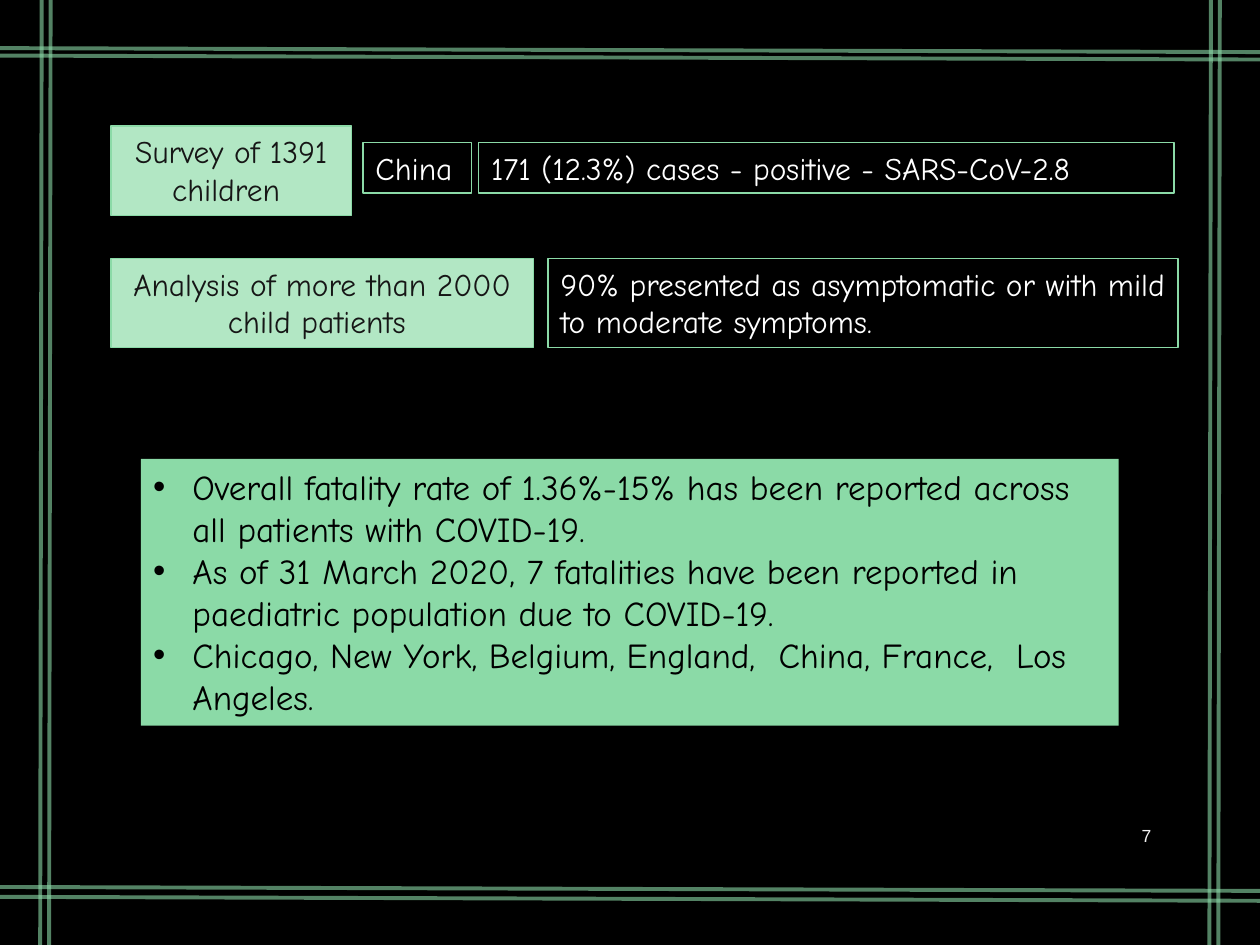
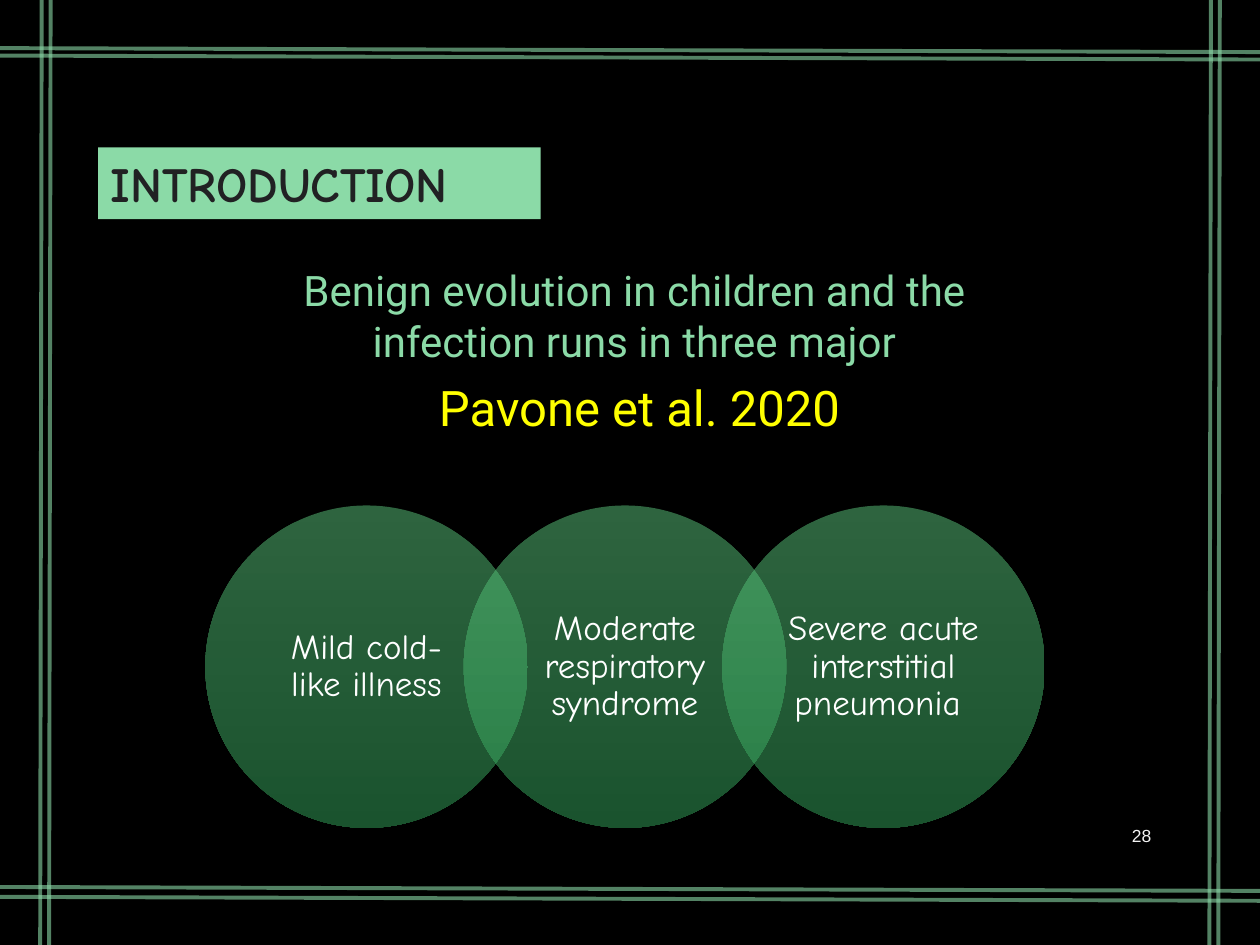
from dataclasses import dataclass, field
from typing import Any, Optional

from lxml.etree import SubElement
from pptx import Presentation
from pptx.dml.color import RGBColor
from pptx.enum.shapes import MSO_CONNECTOR, MSO_SHAPE
from pptx.enum.text import MSO_ANCHOR, PP_ALIGN
from pptx.oxml.ns import qn
from pptx.slide import Slide
from pptx.text.text import TextFrame
from pptx.util import Cm, Pt

BLACK = RGBColor(0x00, 0x00, 0x00)
WHITE = RGBColor(0xFF, 0xFF, 0xFF)
MINT = RGBColor(0x8B, 0xDA, 0xA7)
PALE_MINT = RGBColor(0xB2, 0xE7, 0xC4)
LEAF = RGBColor(0x5C, 0xC8, 0x7E)
DEEP_LEAF = RGBColor(0x35, 0xA7, 0x5D)
INK = RGBColor(0x16, 0x16, 0x16)
TITLE_INK = RGBColor(0x21, 0x21, 0x23)
YELLOW = RGBColor(0xFF, 0xFF, 0x00)
NUMBER_GREY = RGBColor(0xF2, 0xF2, 0xF2)

COMIC, ROBOTO, ARIAL = "Comic Neue", "Roboto", "Arial"

SLIDE_WIDTH, SLIDE_HEIGHT = 25.4, 19.05
VERTICAL_RAILS = (0.84, 1.02, 24.41, 24.59)
HORIZONTAL_RAILS = (0.97, 1.12, 17.88, 18.08)
VERTICAL_DRIFT, HORIZONTAL_DRIFT = -0.03, 0.08
BULLET_INDENT = 0.79


@dataclass(frozen=True)
class TextStyle:
    size: float
    color: RGBColor
    font: str = COMIC
    bold: bool = False
    align: PP_ALIGN = PP_ALIGN.LEFT
    bulleted: bool = False
    line_spacing: Optional[float] = None
    frame: dict[str, Any] = field(
        default_factory=lambda: {"vertical_anchor": MSO_ANCHOR.TOP})


@dataclass(frozen=True)
class Panel:
    """A text block; lengths are in centimetres."""
    left: float
    top: float
    width: float
    height: float
    lines: tuple[str, ...]
    style: TextStyle
    fill: Optional[RGBColor] = None
    outline: Optional[RGBColor] = None


MIDDLE = {"vertical_anchor": MSO_ANCHOR.MIDDLE}
CIRCLE_FRAME = MIDDLE | {
    "margin_left": Cm(0.36), "margin_right": Cm(0.36),
    "margin_top": Cm(0.08), "margin_bottom": Cm(0.08),
}

STUDY = TextStyle(18, INK, align=PP_ALIGN.CENTER)
FINDING = TextStyle(18, WHITE)
FATALITY = TextStyle(20, BLACK, bulleted=True)
TITLE = TextStyle(28, TITLE_INK, bold=True)
STATEMENT = TextStyle(24, MINT, ROBOTO, align=PP_ALIGN.CENTER)
CITATION = TextStyle(28, YELLOW, ROBOTO, align=PP_ALIGN.CENTER)
COURSE = TextStyle(20, WHITE, align=PP_ALIGN.CENTER, line_spacing=0.9,
                   frame=CIRCLE_FRAME)
NUMBER = TextStyle(10, NUMBER_GREY, ARIAL, align=PP_ALIGN.RIGHT, frame=MIDDLE)

SURVEY_PANELS = (
    Panel(2.24, 2.54, 4.85, 1.8, ("Survey of 1391 children ",),
          STUDY, PALE_MINT, MINT),
    Panel(7.32, 2.87, 2.18, 1.02, ("China",), FINDING, outline=MINT),
    Panel(9.65, 2.87, 14.02, 1.02,
          ("171 (12.3%) cases - positive - SARS-CoV-2.8",),
          FINDING, outline=MINT),
    Panel(2.24, 5.21, 8.51, 1.8,
          ("Analysis of more than 2000 child patients ",),
          STUDY, PALE_MINT, MINT),
    Panel(11.05, 5.21, 12.7, 1.8,
          ("90% presented as asymptomatic or with mild to moderate symptoms.",),
          FINDING, outline=MINT),
    Panel(2.84, 9.25, 19.71, 5.38, (
        "Overall fatality rate of 1.36%-15% has been reported across all "
        "patients with COVID-19.",
        "As of 31 March 2020, 7 fatalities have been reported in paediatric "
        "population due to COVID-19.",
        "Chicago, New York, Belgium, England,  China, France,  Los Angeles.",
    ), FATALITY, MINT),
)

INTRODUCTION_PANELS = (
    Panel(7.57, 7.49, 10.64, 1.45, ("Pavone et al. 2020",), CITATION),
    Panel(4.52, 5.21, 16.54, 2.31,
          ("Benign evolution in children and the infection runs in three major",),
          STATEMENT),
    Panel(1.98, 2.97, 8.92, 1.45, ("INTRODUCTION",), TITLE, MINT),
)

COURSES = ("Mild cold-like illness", "Moderate respiratory syndrome",
           "Severe acute interstitial pneumonia ")
CIRCLE_LEFT, CIRCLE_TOP, CIRCLE_SIZE, CIRCLE_PITCH = 4.14, 10.19, 6.5, 5.21


def set_opacity(shape: Any, percent: int) -> None:
    """Make every explicit colour of the shape's fill and line translucent."""
    for color in shape.element.spPr.iter(qn("a:srgbClr")):
        SubElement(color, qn("a:alpha"), val=str(percent * 1000))


def write_text(frame: TextFrame, lines: tuple[str, ...], style: TextStyle) -> None:
    for name, value in ({"word_wrap": True} | style.frame).items():
        setattr(frame, name, value)
    for index, line in enumerate(lines):
        paragraph = frame.add_paragraph() if index else frame.paragraphs[0]
        paragraph.alignment = style.align
        paragraph.line_spacing = style.line_spacing
        if style.bulleted:
            properties = paragraph._p.get_or_add_pPr()
            properties.set("marL", str(Cm(BULLET_INDENT)))
            properties.set("indent", str(-Cm(BULLET_INDENT)))
            SubElement(properties, qn("a:buFont"), typeface=ARIAL)
            SubElement(properties, qn("a:buChar"), char="•")
        run = paragraph.add_run()
        run.text = line
        font_values = {"name": style.font, "size": Pt(style.size),
                       "bold": style.bold}
        for name, value in font_values.items():
            setattr(run.font, name, value)
        run.font.color.rgb = style.color


def draw_panel(slide: Slide, panel: Panel) -> None:
    place = [Cm(n) for n in (panel.left, panel.top, panel.width, panel.height)]
    if panel.fill is None and panel.outline is None:
        block = slide.shapes.add_textbox(*place)
    else:
        block = slide.shapes.add_shape(MSO_SHAPE.RECTANGLE, *place)
        block.shadow.inherit = False
        for paint, color in ((block.fill, panel.fill),
                             (block.line.fill, panel.outline)):
            if color is None:
                paint.background()
            else:
                paint.solid()
                paint.fore_color.rgb = color
        if panel.outline is not None:
            block.line.width = Pt(0.75)
    write_text(block.text_frame, panel.lines, panel.style)


def draw_rail(slide: Slide, x1: float, y1: float, x2: float, y2: float) -> None:
    rail = slide.shapes.add_connector(
        MSO_CONNECTOR.STRAIGHT, Cm(x1), Cm(y1), Cm(x2), Cm(y2))
    rail.line.color.rgb = MINT
    rail.line.width = Pt(2.25)
    set_opacity(rail, 60)
    SubElement(rail.element.spPr, qn("a:effectLst"))


def draw_circle(slide: Slide, left: float, course: str) -> None:
    circle = slide.shapes.add_shape(
        MSO_SHAPE.OVAL, Cm(left), Cm(CIRCLE_TOP), Cm(CIRCLE_SIZE), Cm(CIRCLE_SIZE))
    circle.shadow.inherit = False
    circle.line.fill.background()
    circle.fill.gradient()
    circle.fill.gradient_angle = 270
    for stop, color in zip(circle.fill.gradient_stops, (LEAF, DEEP_LEAF)):
        stop.color.rgb = color
    set_opacity(circle, 50)
    write_text(circle.text_frame, (course,), COURSE)


def add_framed_slide(deck: Any, number: int, panels: tuple[Panel, ...]) -> Slide:
    """Add a black slide with its rails, slide number and panels."""
    slide = deck.slides.add_slide(deck.slide_layouts[6])
    slide.background.fill.solid()
    slide.background.fill.fore_color.rgb = BLACK
    for x in VERTICAL_RAILS:
        draw_rail(slide, x, 0, x + VERTICAL_DRIFT, SLIDE_HEIGHT)
    for y in HORIZONTAL_RAILS:
        draw_rail(slide, 0, y, SLIDE_WIDTH, y + HORIZONTAL_DRIFT)
    page_number = Panel(21.89, 16.33, 1.57, 1.02, (str(number),), NUMBER)
    for panel in (page_number, *panels):
        draw_panel(slide, panel)
    return slide


def main() -> None:
    deck = Presentation()
    deck.slide_width, deck.slide_height = Cm(SLIDE_WIDTH), Cm(SLIDE_HEIGHT)
    add_framed_slide(deck, 7, SURVEY_PANELS)
    introduction = add_framed_slide(deck, 28, INTRODUCTION_PANELS)
    for index, course in enumerate(COURSES):
        draw_circle(introduction, CIRCLE_LEFT + index * CIRCLE_PITCH, course)
    deck.save("out.pptx")


if __name__ == "__main__":
    main()
